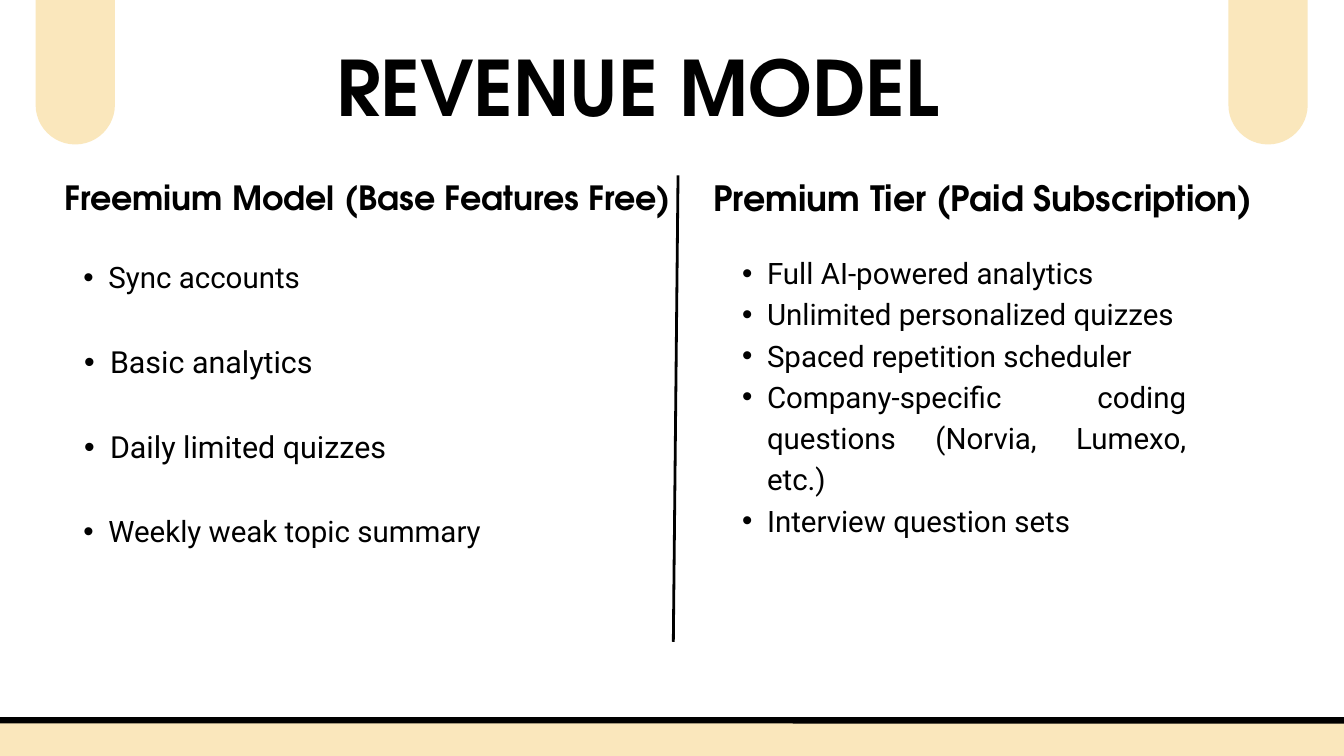
import pptx
import pptx.dml.color
import pptx.enum.shapes
import pptx.enum.text
import pptx.oxml
import pptx.oxml.ns
import pptx.util

Inches = pptx.util.Inches
Pt = pptx.util.Pt
Align = pptx.enum.text.PP_ALIGN
COLOURS = {"ink": "000000", "sand": "FAE7BC"}
FONTS = {"heading": "TeX Gyre Adventor", "body": "Roboto"}


def apply(target, values):
    for name, value in values.items():
        setattr(target, name, value)


def colour(name):
    return pptx.dml.color.RGBColor.from_string(COLOURS[name])


class Page:
    def __init__(self, deck):
        self.slide = deck.slides.add_slide(deck.slide_layouts[6])

    def frame(self, left, top, width, height):
        box = self.slide.shapes.add_textbox(*map(Inches, (left, top, width, height)))
        apply(box.text_frame, {
            "word_wrap": True,
            "auto_size": pptx.enum.text.MSO_AUTO_SIZE.SHAPE_TO_FIT_TEXT,
            "margin_left": 0, "margin_right": 0, "margin_top": 0, "margin_bottom": 0,
        })
        return box.text_frame

    def fill_para(self, para, text, size, font, bold, **layout):
        span = para.add_run()
        span.text = text
        apply(span.font, {"name": FONTS[font], "size": Pt(size), "bold": bold})
        span.font.color.rgb = colour("ink")
        apply(para, {"line_spacing": Pt(round(size * 1.4, 1)), **layout})

    def heading(self, text, size, *place):
        para = self.frame(*place).paragraphs[0]
        self.fill_para(para, text, size, "heading", True, alignment=Align.CENTER)

    def bullets(self, items, gap, *place):
        frame = self.frame(*place)
        for index, (text, size) in enumerate(items):
            para = frame.add_paragraph() if index else frame.paragraphs[0]
            self.fill_para(para, text, size, "body", False, alignment=Align.JUSTIFY,
                           level=1, space_before=Pt(gap if index else 0))
            indent = size / 85
            props = para._p.get_or_add_pPr()
            props.set("marL", str(Inches(indent * 2)))
            props.set("indent", str(-Inches(indent)))
            for tag, name, value in (("buFont", "typeface", "Arial"), ("buChar", "char", "•")):
                mark = pptx.oxml.parse_xml(
                    f'<a:{tag} {pptx.oxml.ns.nsdecls("a")} {name}="{value}"/>')
                props.append(mark)

    def bar(self, rounding, outline, *place):
        kind = pptx.enum.shapes.MSO_SHAPE.ROUNDED_RECTANGLE
        shape = self.slide.shapes.add_shape(kind, *map(Inches, place))
        shape.adjustments[0] = rounding
        shape.shadow.inherit = False
        shape.fill.solid()
        shape.fill.fore_color.rgb = colour("sand")
        if outline:
            shape.line.color.rgb = colour("ink")
            shape.line.width = Pt(outline)
        else:
            shape.line.fill.background()

    def divider(self, width, *ends):
        kind = pptx.enum.shapes.MSO_CONNECTOR.STRAIGHT
        line = self.slide.shapes.add_connector(kind, *map(Inches, ends))
        line.line.color.rgb = colour("ink")
        line.line.width = Pt(width)
        line._element.spPr.append(
            pptx.oxml.parse_xml(f'<a:effectLst {pptx.oxml.ns.nsdecls("a")}/>'))


def main():
    deck = pptx.Presentation()
    apply(deck, {"slide_width": Inches(20), "slide_height": Inches(11.25)})
    page = Page(deck)

    page.heading("REVENUE MODEL", 81.9, 4.82, 0.37, 9.34, 3.11)
    page.heading("Freemium Model (Base Features Free)", 35.7, 0.6, 2.54, 9.75, 2.69)
    for left in (0.53, 18.28):
        page.bar(0.5, 0, left, -1.08, 1.18, 3.23)
    page.bar(0.1, 6.75, -0.58, 10.72, 21.16, 0.9)
    page.divider(3, 10.09, 2.61, 10.02, 9.55)
    page.heading("Premium Tier (Paid Subscription)", 37.3, 10.31, 2.53, 8.64, 0.7)

    free_features = [
        ("Sync accounts", 31.6),
        ("Basic analytics", 32.6),
        ("Daily limited quizzes", 32.6),
        ("Weekly weak topic summary", 31.6),
    ]
    paid_features = [
        "Full AI-powered analytics",
        "Unlimited personalized quizzes",
        "Spaced repetition scheduler",
        "Company-specific coding questions (Norvia, Lumexo, etc.)",
        "Interview question sets",
    ]
    page.bullets(free_features, 45.6, 0.87, 3.77, 7.68, 5.59)
    page.bullets([(text, 31.6) for text in paid_features], 0, 10.67, 3.71, 6.98, 5.53)
    deck.save("out.pptx")


if __name__ == "__main__":
    main()
